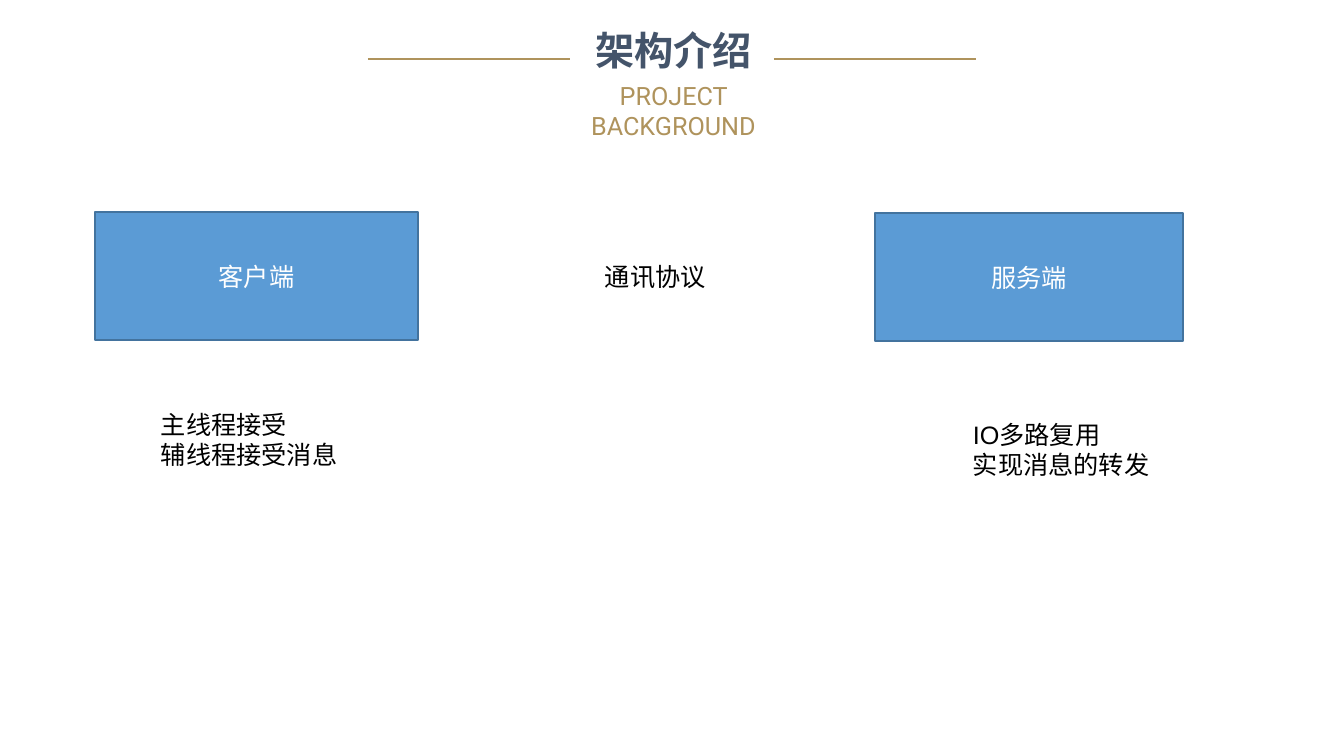
from dataclasses import dataclass
from lxml import etree
from pptx import Presentation
from pptx.dml.color import RGBColor
from pptx.enum.shapes import MSO_CONNECTOR, MSO_SHAPE
from pptx.enum.text import MSO_ANCHOR, MSO_AUTO_SIZE, PP_ALIGN
from pptx.oxml.ns import qn
from pptx.util import Pt

LEFT, MID = PP_ALIGN.LEFT, PP_ALIGN.CENTER
TOP, CENTER = MSO_ANCHOR.TOP, MSO_ANCHOR.MIDDLE
RECT, LINE = MSO_SHAPE.RECTANGLE, MSO_CONNECTOR.STRAIGHT
FIXED = MSO_AUTO_SIZE.NONE

# Content: text with left, top, width, height in px
SIZE = (1344, 756)
TITLE = ("架构介绍", (572, 27, 203, 53))
SUB = ("PROJECT BACKGROUND", (572, 75, 203, 70))
RULES = [368, 774]
RULE_Y, RULE_W = 59, 202
BOXES = [
    ("客户端", (95, 212, 323, 128)),
    ("服务端", (875, 213, 308, 128)),
]
NOTES = [
    (["通讯协议"], (595, 256, 308, 40)),
    (["主线程接受", "辅线程接受消息"], (151, 404, 199, 71)),
    (["IO多路复用", "实现消息的转发"], (963, 414, 199, 71)),
]


@dataclass(frozen=True)
class Theme:
    navy: str = "44546A"
    gold: str = "AF935C"
    blue: str = "5B9BD5"
    edge: str = "43739E"
    white: str = "FFFFFF"
    black: str = "000000"
    head: str = "Noto Sans CJK SC"
    sub: str = "Roboto"
    body: str = "Arial"
    big: int = 28
    text: int = 18


THEME = Theme()


def px(n):
    return round(n * 914400 / 100.8)


def rgb(code):
    return RGBColor.from_string(code)


def write(shape, lines, font, color, size=THEME.text, align=LEFT,
          anchor=TOP, bold=False):
    frame = shape.text_frame
    frame.word_wrap = True
    frame.auto_size = FIXED
    frame.vertical_anchor = anchor
    for i, line in enumerate(lines):
        para = frame.add_paragraph() if i else frame.paragraphs[0]
        para.alignment = align
        run = para.add_run()
        run.text = line
        run.font.name = font
        run.font.size = Pt(size)
        run.font.bold = bold
        run.font.color.rgb = rgb(color)
        # East Asian glyphs follow the same font
        east = etree.Element(qn("a:ea"), typeface=font)
        run.font._element.find(qn("a:latin")).addnext(east)


def label(slide, lines, area, font, color, **look):
    box = slide.shapes.add_textbox(*map(px, area))
    write(box, lines, font, color, **look)


def main():
    deck = Presentation()
    deck.slide_width, deck.slide_height = map(px, SIZE)
    slide = deck.slides.add_slide(deck.slide_layouts[5])

    # Heading
    text, area = TITLE
    title = slide.shapes.title
    title.left, title.top, title.width, title.height = map(px, area)
    write(title, [text], THEME.head, THEME.navy, THEME.big, MID, bold=True)
    para = title.text_frame.paragraphs[0]
    para.line_spacing = 0.9
    para.space_before = Pt(0)
    text, area = SUB
    label(slide, [text], area, THEME.sub, THEME.gold, align=MID)

    # Rules beside the heading
    for x in RULES:
        rule = slide.shapes.add_connector(
            LINE, px(x), px(RULE_Y), px(x + RULE_W), px(RULE_Y))
        rule.line.color.rgb = rgb(THEME.gold)
        rule.line.width = Pt(1.5)
        etree.SubElement(rule._element.spPr, qn("a:effectLst"))

    # Client and server
    for text, area in BOXES:
        box = slide.shapes.add_shape(RECT, *map(px, area))
        box.shadow.inherit = False
        box.fill.solid()
        box.fill.fore_color.rgb = rgb(THEME.blue)
        box.line.color.rgb = rgb(THEME.edge)
        box.line.width = Pt(1)
        write(box, [text], THEME.body, THEME.white, align=MID, anchor=CENTER)

    # Notes
    for lines, area in NOTES:
        label(slide, lines, area, THEME.body, THEME.black)

    deck.save("out.pptx")


if __name__ == "__main__":
    main()
